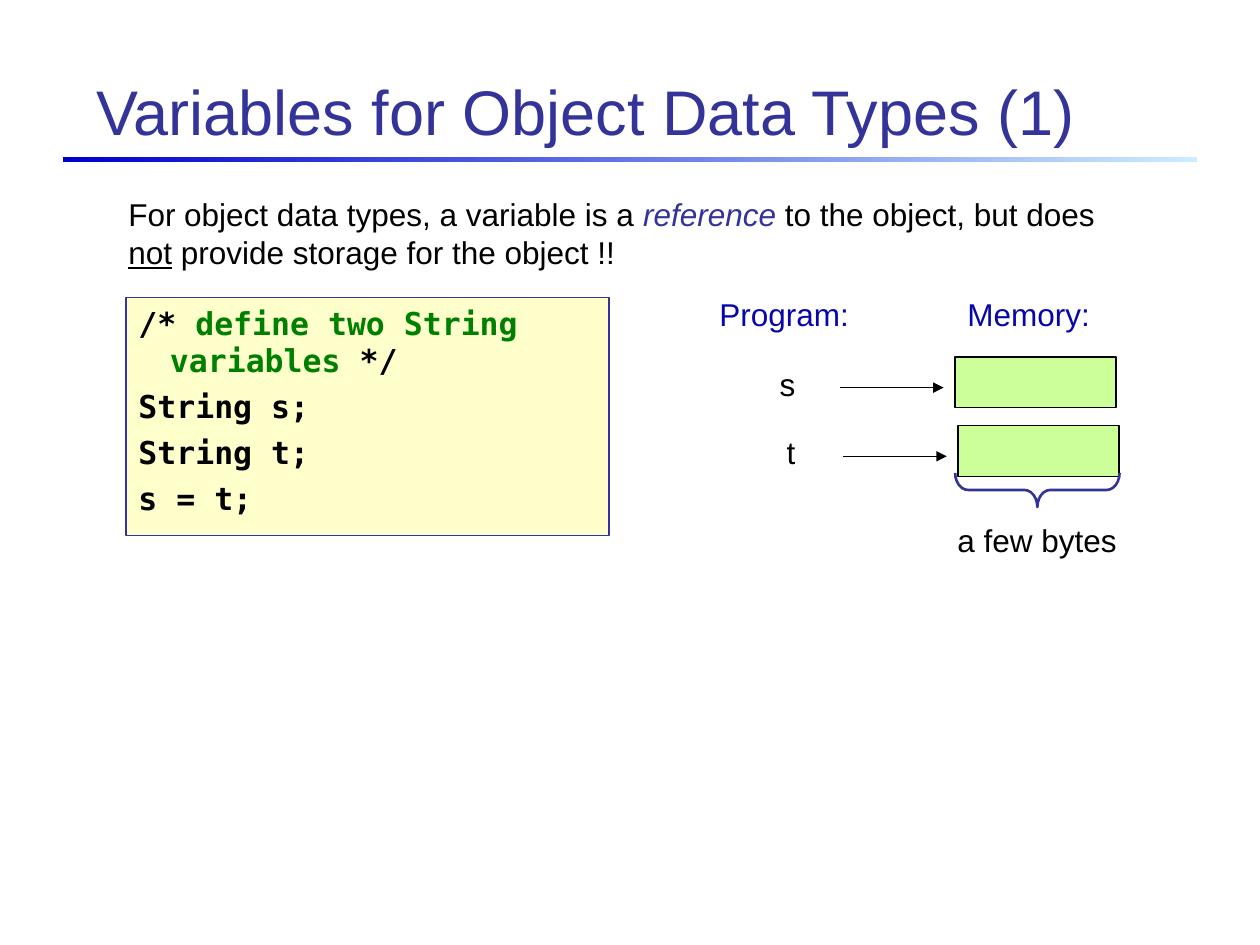
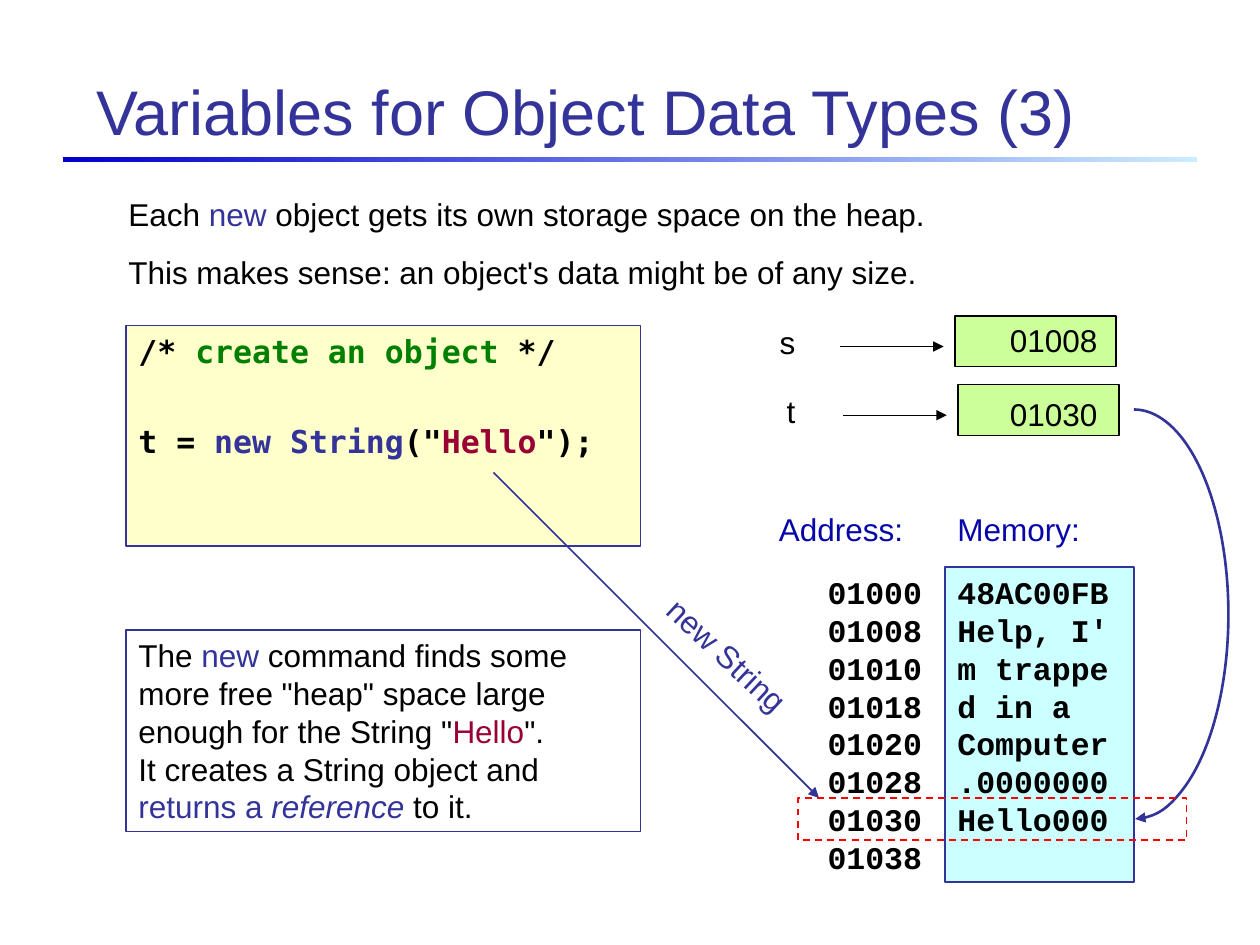
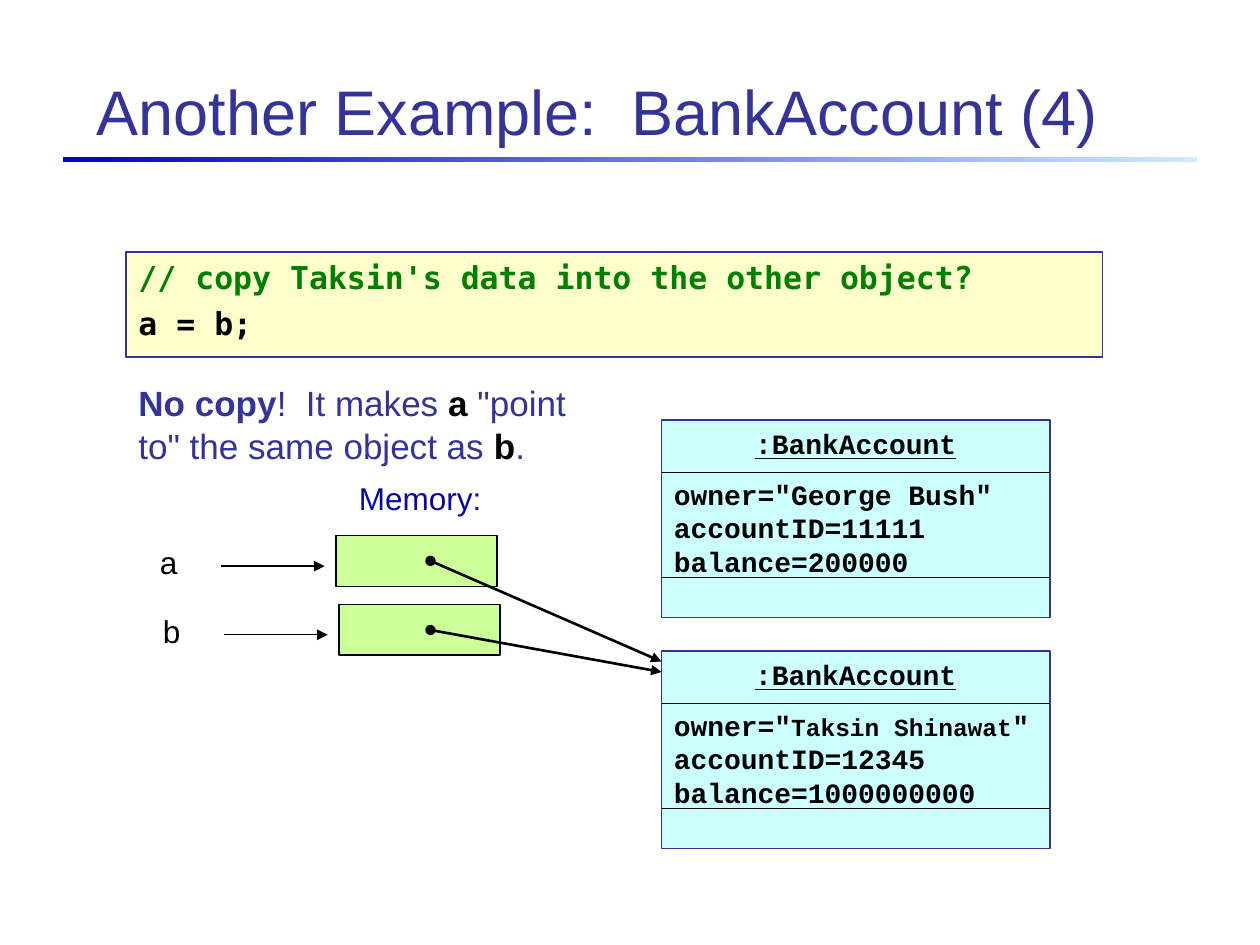
from lxml import etree
from pptx import Presentation
from pptx.dml.color import RGBColor
from pptx.enum import dml, shapes, text
from pptx.oxml import ns
from pptx.util import Pt

BLACK = RGBColor(0x00, 0x00, 0x00)
INDIGO = RGBColor(0x33, 0x33, 0x99)
NAVY = RGBColor(0x07, 0x07, 0xA9)
DEEP = RGBColor(0x00, 0x00, 0xCC)
PALE = RGBColor(0xCC, 0xEC, 0xFF)
GREEN = RGBColor(0x00, 0x80, 0x00)
WINE = RGBColor(0x99, 0x00, 0x33)
RED = RGBColor(0xFF, 0x00, 0x00)
CREAM = RGBColor(0xFF, 0xFF, 0xCC)
LIME = RGBColor(0xCC, 0xFF, 0x99)
AQUA = RGBColor(0xCC, 0xFF, 0xFF)

KIND = shapes.MSO_SHAPE
ALIGN = text.PP_ALIGN

BLUE = dict(color=INDIGO)
NOTE = dict(color=GREEN)
WORD = dict(color=WINE)
DARK = dict(color=BLACK, bold=True)
HEAD = dict(color=NAVY)
CODE = dict(face="DejaVu Sans Mono", bold=True, gap=4.5, hang=18, fill=CREAM, edge=INDIGO)
DUMP = dict(face="Courier New", bold=True)
CARD = dict(DUMP, size=16)
PROSE = dict(gap=11.2)

SLIDES = [
    dict(
        title="Variables for Object Data Types (1)",
        slots=(545.75, 204, [("s", 107.25), ("t", 105)]),
        texts=[
            ((66.25, 108, 588, 50), [[
                "For object data types, a variable is a ",
                ("reference", dict(color=INDIGO, italic=True)),
                " to the object, but does ",
                ("not", dict(under=True)),
                " provide storage for the object !!"]], PROSE),
            ((72, 170, 276, 136), [
                ["/* ", ("define two String variables", NOTE), " */"],
                ["String s;"], ["String t;"], ["s = t;"]], CODE),
            ((404, 165, 92, 29), [["Program:"]], HEAD),
            ((545.75, 165, 92, 29), [["Memory:"]], HEAD),
            ((540, 294, 110, 29), [["a few bytes"]], {}),
        ],
        marks=[(KIND.RIGHT_BRACE, (583, 233, 19.5, 94), INDIGO, 1.5,
                dict(turn=90, bend={0: 0.38}))],
    ),
    dict(
        title="Variables for Object Data Types (3)",
        slots=(545.75, 180.5, [("s", 107.25), ("t", 105)]),
        texts=[
            ((66.25, 108, 588, 62), [
                ["Each ", ("new", BLUE), " object gets its own storage space on the heap."],
                ["This makes sense: an object's data might be of any size."]], PROSE),
            ((72, 186, 294, 126), [
                ["/* ", ("create an object", NOTE), " */"],
                ["t = ", ("new String", BLUE), "(\"", ("Hello", WORD), "\");"]],
                dict(CODE, gap=30)),
            ((570, 180, 70, 29), [["01008"]], {}),
            ((570, 222, 70, 29), [["01030"]], {}),
            ((438, 288, 92, 29), [["Address:"]], HEAD),
            ((540, 288, 92, 29), [["Memory:"]], HEAD),
            ((426, 324, 108, 180), [
                ["01000"], ["01008\n01010\n01018"], ["01020"],
                ["01028"], ["01030"], ["01038"]], dict(DUMP, align=ALIGN.RIGHT)),
            ((540, 324, 108, 180), [
                ["48AC00FB"],
                ["Help, I'\nm trappe\nd in a Computer\n.0000000\nHello000"]],
                dict(DUMP, fill=AQUA, edge=INDIGO)),
            ((72, 360, 294, 115), [[
                "The ", ("new", BLUE),
                " command finds some more free \"heap\" space large enough for the String \"",
                ("Hello", WORD), "\".\nIt creates a String object and ",
                ("returns a ", BLUE),
                ("reference ", dict(color=INDIGO, italic=True)), "to it."]],
                dict(edge=INDIGO)),
            ((360.5, 360, 110, 29), [["new String"]],
                dict(color=INDIGO, align=ALIGN.CENTER, turn=43)),
        ],
        lines=[((282, 270, 468, 456), INDIGO, 1, dict(tail="triangle"))],
        marks=[
            (KIND.ARC, (594, 234, 108, 234), INDIGO, 1.5,
             dict(bend={0: 162, 1: 53.8}, tail="triangle")),
            (KIND.RECTANGLE, (456, 456, 222, 24), RED, 1, dict(dash=True)),
        ],
    ),
    dict(
        title="Another Example:  BankAccount (4)",
        slots=(192, 306, [("a", 107.75), ("b", 107.75)]),
        cards=[
            (240, ["owner=\"George Bush\""], "11111", "200000"),
            (372, ["owner=\"", ("Taksin Shinawat", dict(size=14)), "\""],
             "12345", "1000000000"),
        ],
        texts=[
            ((72, 144, 558, 60), [
                [("// copy Taksin's data into the other object?", NOTE)],
                ["a = b;"]], CODE),
            ((72, 214.75, 270, 55), [[
                ("No copy", dict(bold=True)), "!  It makes ", ("a", DARK),
                " \"point to\" the same object as ", ("b", DARK), "."]],
                dict(size=20, color=INDIGO)),
            ((198, 270, 92, 29), [["Memory:"]], HEAD),
        ],
        lines=[
            ((246, 320.5, 378, 378), BLACK, 1.5, dict(head="oval", tail="triangle")),
            ((246, 360, 378, 384), BLACK, 1.5, dict(head="oval", tail="triangle")),
        ],
    ),
]


def style(font, size=18, face="Arial", color=BLACK, bold=False, italic=False, under=False):
    font.size, font.name = Pt(size), face
    font.bold, font.italic, font.underline = bold, italic, under
    font.color.rgb = color


def write(shape, paras, gap=0, hang=0, align=ALIGN.LEFT, anchor=text.MSO_ANCHOR.TOP, **look):
    frame = shape.text_frame
    frame.word_wrap = True
    frame.auto_size = text.MSO_AUTO_SIZE.NONE
    frame.vertical_anchor = anchor
    for n, runs in enumerate(paras):
        para = frame.add_paragraph() if n else frame.paragraphs[0]
        para.alignment = align
        para.space_before = Pt(gap if n else 0)
        if hang:
            props = para._p.get_or_add_pPr()
            props.set("marL", str(Pt(hang)))
            props.set("indent", str(-Pt(hang)))
        for item in runs:
            words, extra = (item, {}) if isinstance(item, str) else item
            for k, part in enumerate(words.split("\n")):
                if k:
                    para.add_line_break()
                run = para.add_run()
                run.text = part
                style(run.font, **{**look, **extra})


def stroke(line, color, weight, head=None, tail=None, dash=False):
    line.color.rgb = color
    line.width = Pt(weight)
    if dash:
        line.dash_style = dml.MSO_LINE.DASH
    for tag, end in (("a:headEnd", head), ("a:tailEnd", tail)):
        if end:
            etree.SubElement(line._get_or_add_ln(), ns.qn(tag)).set("type", end)


def shape(slide, kind, box, fill=None, edge=None, weight=0.75, turn=0, bend=None, **ends):
    form = slide.shapes.add_shape(kind, *map(Pt, box))
    form.shadow.inherit = False
    form.rotation = turn
    for k, value in (bend or {}).items():
        form.adjustments[k] = value
    if fill is None:
        form.fill.background()
    else:
        form.fill.solid()
        form.fill.fore_color.rgb = fill
    if edge is None:
        form.line.fill.background()
    else:
        stroke(form.line, edge, weight, **ends)
    return form


def line(slide, ends, color=BLACK, weight=0.75, **tips):
    link = slide.shapes.add_connector(shapes.MSO_CONNECTOR.STRAIGHT, *map(Pt, ends))
    stroke(link.line, color, weight, **tips)
    etree.SubElement(link._element.spPr, ns.qn("a:effectLst"))


def label(slide, box, paras, fill=None, edge=None, turn=0, **look):
    if fill is None and edge is None:
        form = slide.shapes.add_textbox(*map(Pt, box))
        form.rotation = turn
    else:
        form = shape(slide, KIND.RECTANGLE, box, fill, edge, turn=turn)
    write(form, paras, **look)


def header(slide, words):
    bar = shape(slide, KIND.RECTANGLE, (36, 90, 648, 2.5))
    bar.fill.gradient()
    bar.fill.gradient_angle = 0
    for stop, color in zip(bar.fill.gradient_stops, (DEEP, PALE)):
        stop.color.rgb = color
    title = slide.shapes.title
    title.left, title.top, title.width, title.height = map(Pt, (48, 20, 624, 68.5))
    write(title, [[words]], size=36, color=INDIGO, anchor=text.MSO_ANCHOR.BOTTOM)


def slots(slide, left, top, names):
    for n, (name, back) in enumerate(names):
        x, y = left + 1.75 * n, top + 39.25 * n
        shape(slide, KIND.RECTANGLE, (x, y, 92, 29), LIME, BLACK)
        label(slide, (x - back, y + 0.75, 30, 29), [[name]])
        line(slide, (x - 65.5, y + 17.5, x - 6.5, y + 17.5), tail="triangle")


def card(slide, top, owner, ident, funds):
    form = shape(slide, KIND.RECTANGLE, (378, top, 222, 113), AQUA, INDIGO)
    write(form, [[(":BankAccount", dict(under=True))], owner,
                 ["accountID=" + ident], ["balance=" + funds]], **CARD)
    first, second = form.text_frame.paragraphs[:2]
    first.alignment = ALIGN.CENTER
    second.space_before = Pt(10)
    for y in (top + 30, top + 90):
        line(slide, (378, y, 600, y))


def main():
    deck = Presentation()
    deck.slide_width, deck.slide_height = Pt(720), Pt(540)
    for data in SLIDES:
        slide = deck.slides.add_slide(deck.slide_layouts[5])
        header(slide, data["title"])
        slots(slide, *data["slots"])
        for item in data.get("cards", []):
            card(slide, *item)
        for box, paras, look in data["texts"]:
            label(slide, box, paras, **look)
        for ends, color, weight, tips in data.get("lines", []):
            line(slide, ends, color, weight, **tips)
        for kind, box, color, weight, more in data.get("marks", []):
            shape(slide, kind, box, None, color, weight, **more)
    deck.save("out.pptx")


if __name__ == "__main__":
    main()
